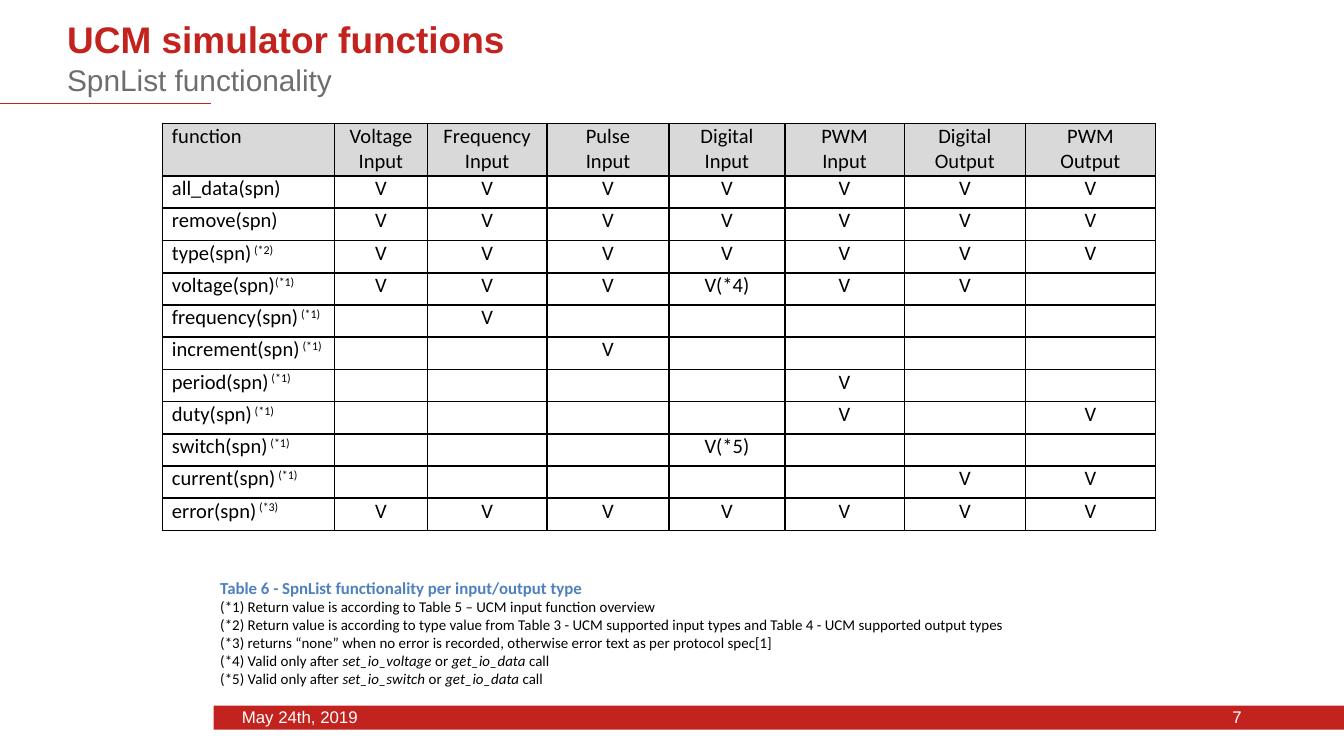
from lxml.etree import SubElement
from pptx import Presentation
from pptx.dml.color import RGBColor
from pptx.enum.shapes import MSO_CONNECTOR, MSO_SHAPE
from pptx.enum.text import MSO_ANCHOR, PP_ALIGN
from pptx.oxml.ns import qn
from pptx.util import Inches, Pt

SLIDE_W = 10
SLIDE_H = SLIDE_W * 9 / 16
RED, GREY, BLACK, WHITE = "C3231E", "6E6E6E", "000000", "FFFFFF"
HEADER_FILL, CAPTION_BLUE = "D9D9D9", "4F81BD"
COL_WIDTHS = [1.28, 0.69, 0.89, 0.91, 0.86, 0.89, 0.9, 0.97]
HEADER_H, ROW_H = 0.39, 0.24
HEADERS = ["Voltage Input", "Frequency Input", "Pulse Input", "Digital Input",
           "PWM Input", "Digital Output", "PWM Output"]
FUNCTIONS = [
    ("all_data(spn)", "", "V,V,V,V,V,V,V"),
    ("remove(spn)", "", "V,V,V,V,V,V,V"),
    ("type(spn)", " (*2)", "V,V,V,V,V,V,V"),
    ("voltage(spn)", "(*1)", "V,V,V,V(*4),V,V,"),
    ("frequency(spn)", " (*1)", ",V,,,,,"),
    ("increment(spn)", " (*1)", ",,V,,,,"),
    ("period(spn)", " (*1)", ",,,,V,,"),
    ("duty(spn)", " (*1)", ",,,,V,,V"),
    ("switch(spn)", " (*1)", ",,,V(*5),,,"),
    ("current(spn)", " (*1)", ",,,,,V,V"),
    ("error(spn)", " (*3)", "V,V,V,V,V,V,V"),
]
CAPTION = "Table 6 - SpnList functionality per input/output type"
NOTES = [
    ["(*1) Return value is according to Table 5 – UCM input function overview"],
    ["(*2) Return value is according to type value from Table 3 - UCM supported input types "
     "and Table 4 - UCM supported output types"],
    ["(*3) returns “none” when no error is recorded, otherwise error text as per protocol spec[1]"],
    ["(*4) Valid only after ", "set_io_voltage", " or ", "get_io_data ", "call"],
    ["(*5) Valid only after ", "set_io_switch", " or ", "get_io_data ", "call"],
]


def rgb(color):
    """Turn a hex string into a colour."""
    return RGBColor.from_string(color)


def add_run(p, text, size, color, font="Calibri", bold=False, italic=False):
    """Append a formatted run to a paragraph."""
    r = p.add_run()
    r.text = text
    r.font.size, r.font.name = Pt(size), font
    r.font.bold, r.font.italic = bold, italic
    r.font.color.rgb = rgb(color)
    return r


def clear_insets(tf, anchor):
    """Make a text frame wrap without insets at the given anchor."""
    tf.word_wrap = True
    tf.margin_left = tf.margin_right = tf.margin_top = tf.margin_bottom = 0
    tf.vertical_anchor = anchor


def add_label(s, x, y, w, h, text, size, color, anchor=MSO_ANCHOR.MIDDLE):
    """Add a single-line Arial text box."""
    tf = s.shapes.add_textbox(Inches(x), Inches(y), Inches(w), Inches(h)).text_frame
    clear_insets(tf, anchor)
    add_run(tf.paragraphs[0], text, size, color, "Arial")


def add_heading(s, x, y, w):
    """Place the title, the subtitle and the rule below them."""
    title = s.shapes.title
    title.left, title.top = Inches(x), Inches(y)
    title.width, title.height = Inches(w), Inches(0.35)
    tf = title.text_frame
    clear_insets(tf, MSO_ANCHOR.TOP)
    p = tf.paragraphs[0]
    p.alignment = PP_ALIGN.LEFT
    add_run(p, "UCM simulator functions", 19.8, RED, "Arial", bold=True)
    add_label(s, x, y + 0.34, w, 0.28, "SpnList functionality", 16, GREY, MSO_ANCHOR.TOP)
    rule_y = Inches(y + 0.65)
    rule = s.shapes.add_connector(MSO_CONNECTOR.STRAIGHT, 0, rule_y, Inches(1.57), rule_y)
    rule.line.color.rgb = rgb(RED)
    rule.line.width = Pt(0.25)
    SubElement(rule._element.spPr, qn("a:effectLst"))


def add_footer(s, x, y, w, h):
    """Draw the footer bar with the date and the slide number."""
    bar = s.shapes.add_shape(MSO_SHAPE.RECTANGLE, Inches(x), Inches(y), Inches(w), Inches(h))
    bar.shadow.inherit = False
    bar.fill.solid()
    bar.fill.fore_color.rgb = rgb(RED)
    bar.line.fill.background()
    add_label(s, x + 0.21, y - 0.06, 1.67, 0.28, "May 24th, 2019", 9, WHITE)
    add_label(s, x + 7.58, y - 0.06, 0.5, 0.28, "7", 9, WHITE)


def add_borders(cell):
    """Give a cell thin black borders on all sides."""
    tc_pr = cell._tc.get_or_add_tcPr()
    for i, side in enumerate(("a:lnL", "a:lnR", "a:lnT", "a:lnB")):
        ln = tc_pr.makeelement(qn(side), {"w": str(Pt(1))})
        SubElement(SubElement(ln, qn("a:solidFill")), qn("a:srgbClr"), val=BLACK)
        tc_pr.insert(i, ln)


def fill_cell(cell, lines, align, fill=None, note=""):
    """Write lines and an optional raised note into a bordered cell."""
    cell.margin_left = cell.margin_right = Inches(0.07)
    cell.margin_top = cell.margin_bottom = 0
    if fill:
        cell.fill.solid()
        cell.fill.fore_color.rgb = rgb(fill)
    else:
        cell.fill.background()
    add_borders(cell)
    tf = cell.text_frame
    for i, line in enumerate(lines):
        p = tf.add_paragraph() if i else tf.paragraphs[0]
        p.alignment = align
        if line:
            add_run(p, line, 11, BLACK)
        else:
            SubElement(p._p, qn("a:endParaRPr"), sz="1100")
    if note:
        r = add_run(tf.paragraphs[0], note, 11, BLACK)
        r.font._element.set("baseline", "30000")


def add_function_table(s, x, y):
    """Build the table of functions against input and output types."""
    height = HEADER_H + ROW_H * len(FUNCTIONS)
    table = s.shapes.add_table(len(FUNCTIONS) + 1, len(COL_WIDTHS), Inches(x), Inches(y),
                               Inches(sum(COL_WIDTHS)), Inches(height)).table
    table.first_row = table.horz_banding = False
    for col, width in zip(table.columns, COL_WIDTHS):
        col.width = Inches(width)
    for i, row in enumerate(table.rows):
        row.height = Inches(ROW_H if i else HEADER_H)
    fill_cell(table.cell(0, 0), ["function "], PP_ALIGN.JUSTIFY, HEADER_FILL)
    for c, header in enumerate(HEADERS, 1):
        fill_cell(table.cell(0, c), header.split(), PP_ALIGN.CENTER, HEADER_FILL)
    for i, (name, note, marks) in enumerate(FUNCTIONS, 1):
        fill_cell(table.cell(i, 0), [name], PP_ALIGN.JUSTIFY, note=note)
        for c, mark in enumerate(marks.split(","), 1):
            fill_cell(table.cell(i, c), [mark], PP_ALIGN.CENTER)


def add_notes(s, x, y, w, h):
    """Add the table caption and its notes, with call names in italics."""
    tf = s.shapes.add_textbox(Inches(x), Inches(y), Inches(w), Inches(h)).text_frame
    tf.word_wrap = True
    p = tf.paragraphs[0]
    p.alignment = PP_ALIGN.JUSTIFY
    add_run(p, CAPTION, 9, CAPTION_BLUE, bold=True)
    for note in NOTES:
        p = tf.add_paragraph()
        p.alignment = PP_ALIGN.JUSTIFY
        for i, text in enumerate(note):
            add_run(p, text, 8, BLACK, italic=i % 2 == 1)


def main():
    """Build the slide and save it."""
    prs = Presentation()
    prs.slide_width, prs.slide_height = Inches(SLIDE_W), Inches(SLIDE_H)
    s = prs.slides.add_slide(prs.slide_layouts[5])
    add_footer(s, 1.59, 5.25, 8.41, 0.18)
    add_function_table(s, 1.21, 0.92)
    add_heading(s, 0.5, 0.12, 9.07)
    add_notes(s, 1.54, 4.25, 7.15, 0.93)
    prs.save("out.pptx")


if __name__ == "__main__":
    main()
